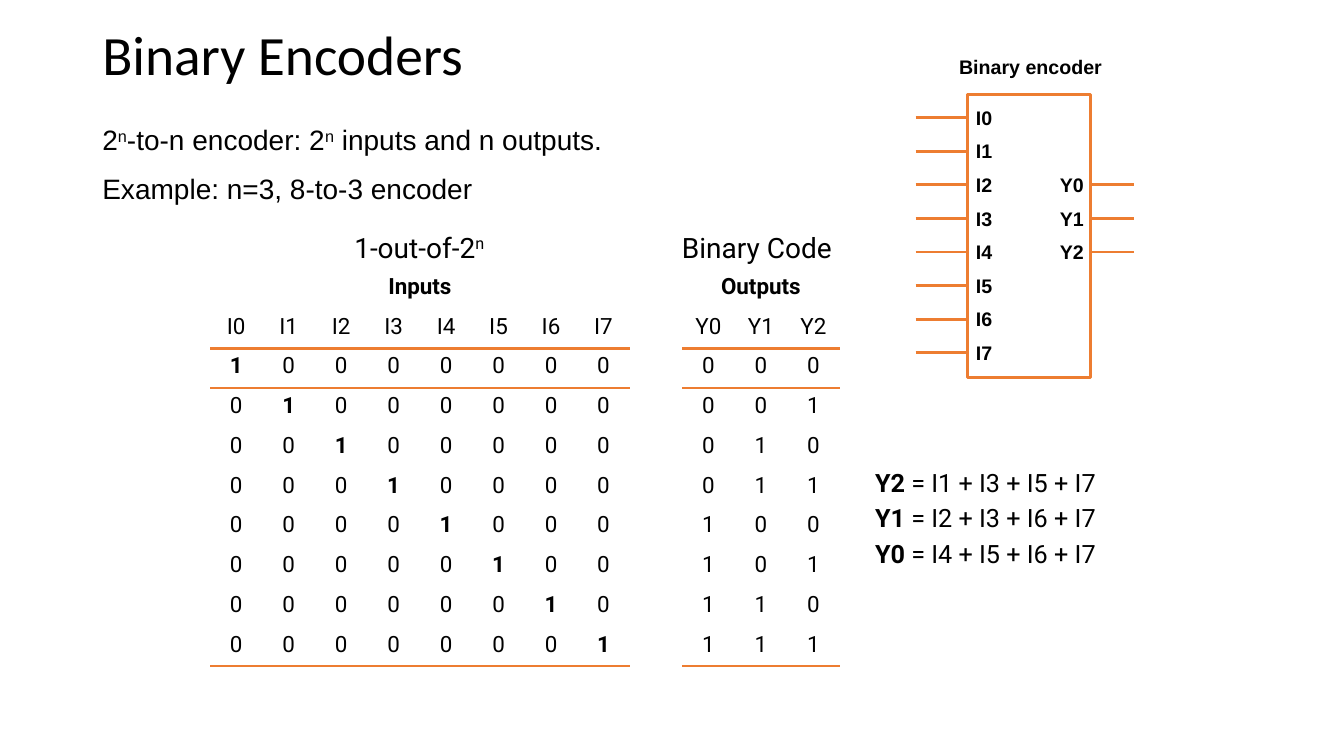
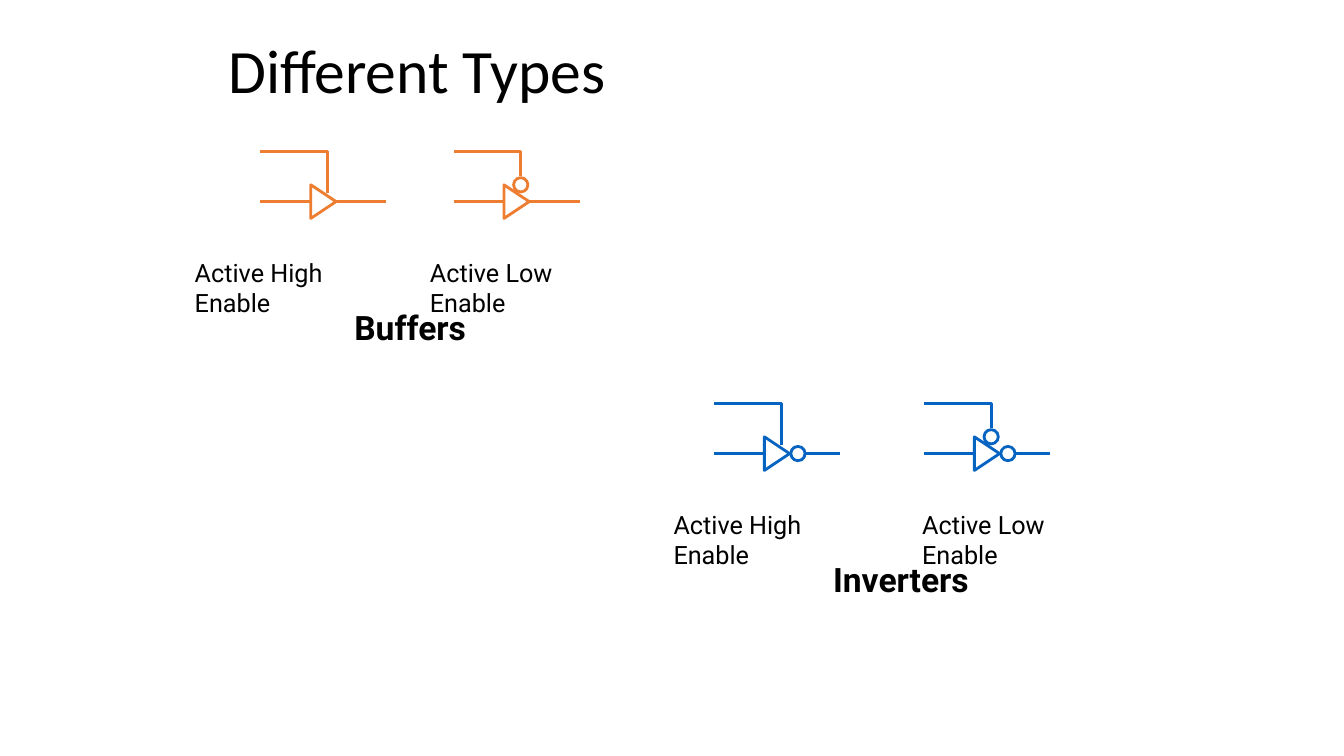
from lxml.etree import SubElement
from pptx import Presentation
from pptx.dml.color import RGBColor
from pptx.enum.shapes import MSO_CONNECTOR, MSO_SHAPE
from pptx.enum.text import MSO_ANCHOR, PP_ALIGN
from pptx.oxml.ns import qn
from pptx.util import Inches, Pt

COLORS = {"text": "000000", "orange": "ED7D31", "blue": "0563C1"}
FONTS = {"title": "Calibri", "body": "Arial", "label": "Roboto"}
COLUMNS, ROWS = 160, 90
UNIT = Inches(7.5) / ROWS
WIRE_WIDTH = 2
RULE_WIDTH = 2.25
PLAIN_TABLE = "{2D5ABB26-0587-4C30-8999-92F81FD0307C}"


def grid(*cells):
    """Turn grid columns and rows into lengths."""
    return [round(cell * UNIT) for cell in cells]


def color(name):
    """Look up a colour of the palette."""
    return RGBColor.from_string(COLORS[name])


def style(paragraph, font, size, bold=False):
    """Set the font of a whole paragraph."""
    paragraph.font.name = FONTS[font]
    paragraph.font.size = Pt(size)
    paragraph.font.bold = bold
    paragraph.font.color.rgb = color("text")


def write(shapes, box, lines, font, size, bold=False, gap=0):
    """Place text; a line is a string or a list of (text, mark) pairs."""
    frame = shapes.add_textbox(*grid(*box)).text_frame
    frame.word_wrap = True
    for index, line in enumerate(lines):
        paragraph = frame.paragraphs[0] if index == 0 else frame.add_paragraph()
        style(paragraph, font, size, bold)
        if index:
            paragraph.space_before = Pt(gap)
        for text, mark in [(line, "")] if isinstance(line, str) else line:
            run = paragraph.add_run()
            run.text = text
            if mark == "bold":
                run.font.bold = True
            elif mark == "super":
                run._r.get_or_add_rPr().set("baseline", "30000")
    return frame


def add_title(slide, box, text, size):
    """Place the slide title."""
    frame = write(slide.shapes, box, [text], "title", size)
    frame.vertical_anchor = MSO_ANCHOR.MIDDLE
    frame.paragraphs[0].line_spacing = 0.9


def outline(shape, ink):
    """Give a shape an outline only."""
    shape.shadow.inherit = False
    shape.fill.background()
    shape.line.color.rgb = color(ink)
    shape.line.width = Pt(WIRE_WIDTH)


def add_wire(shapes, start, end, ink):
    """Draw a straight wire."""
    wire = shapes.add_connector(MSO_CONNECTOR.STRAIGHT, *grid(*start, *end))
    wire.line.color.rgb = color(ink)
    wire.line.width = Pt(WIRE_WIDTH)
    SubElement(wire._element.spPr, qn("a:effectLst"))


def add_path(shapes, points, ink, close):
    """Draw a bent wire or a closed outline."""
    first, *rest = [grid(*point) for point in points]
    builder = shapes.build_freeform(*first)
    builder.add_line_segments(rest, close=close)
    outline(builder.convert_to_shape(), ink)


def add_bubble(shapes, x, y, ink):
    """Draw a negation bubble around its centre."""
    size = 1.7
    box = grid(x - size / 2, y - size / 2, size, size)
    outline(shapes.add_shape(MSO_SHAPE.OVAL, *box), ink)


def add_rule(cell, side):
    """Rule the top (lnT) or bottom (lnB) of a cell."""
    border = SubElement(cell._tc.get_or_add_tcPr(), qn(f"a:{side}"), w=str(Pt(RULE_WIDTH)))
    fill = SubElement(border, qn("a:solidFill"))
    SubElement(fill, qn("a:srgbClr"), val=COLORS["orange"])


def add_truth_table(slide, box):
    """Place the truth table of the 8-to-3 encoder."""
    inputs, outputs, gap = 8, 3, 8
    rows = [["Inputs"] + [""] * inputs + ["Outputs"] + [""] * (outputs - 1)]
    rows.append([f"I{i}" for i in range(inputs)] + [""] + [f"Y{i}" for i in range(outputs)])
    for active in range(inputs):
        one_hot = [str(int(i == active)) for i in range(inputs)]
        rows.append(one_hot + [""] + list(f"{active:03b}"))
    table = slide.shapes.add_table(len(rows), len(rows[0]), *grid(*box)).table
    table.first_row = table.horz_banding = False
    table._tbl.tblPr[0].text = PLAIN_TABLE
    for r, row in enumerate(rows):
        for c, text in enumerate(row):
            cell = table.cell(r, c)
            cell.margin_bottom = 0
            paragraph = cell.text_frame.paragraphs[0]
            paragraph.alignment = PP_ALIGN.CENTER
            style(paragraph, "label", 16, r == 0 or (c < inputs and c == r - 2))
            if text:
                paragraph.add_run().text = text
            if c != gap and r == 2:
                add_rule(cell, "lnT")
            if c != gap and r in (1, len(rows) - 1):
                add_rule(cell, "lnB")
            cell.fill.background()
    table.cell(0, 0).merge(table.cell(0, inputs - 1))
    table.cell(0, gap + 1).merge(table.cell(0, gap + outputs))


def add_encoder(slide, left, top):
    """Draw the encoder block with its pins."""
    shapes = slide.shapes.add_group_shape().shapes
    body = shapes.add_shape(MSO_SHAPE.RECTANGLE, *grid(left + 6.2, top + 5.2, 14.6, 33.7))
    outline(body, "orange")
    write(shapes, (left + 4, top, 23, 4), ["Binary encoder"], "body", 14, True)
    pins = [(f"I{i}", i, 0, 6, 6) for i in range(8)]
    pins += [(f"Y{i}", i + 2, 21, 26, 16) for i in range(3)]
    for name, step, start, end, label in pins:
        y = top + 8 + 4 * step
        add_wire(shapes, (left + start, y), (left + end, y), "orange")
        write(shapes, (left + label, y - 2, 7, 4), [name], "body", 14, True)


def add_gate(slide, left, top, label_left, active_low, inverting, ink):
    """Draw a three-state gate and its label."""
    shapes = slide.shapes.add_group_shape().shapes
    middle = top + 6
    add_path(shapes, [(left + 6, top + 4), (left + 9, middle), (left + 6, top + 8)], ink, True)
    enable_end = top + (3 if active_low else 5)
    add_path(shapes, [(left + 8, enable_end), (left + 8, top), (left, top)], ink, False)
    add_wire(shapes, (left, middle), (left + 6, middle), ink)
    add_wire(shapes, (left + (11 if inverting else 9), middle), (left + 15, middle), ink)
    if active_low:
        add_bubble(shapes, left + 8, top + 4, ink)
    if inverting:
        add_bubble(shapes, left + 10, middle, ink)
    label = f"Active {'Low' if active_low else 'High'} Enable"
    write(shapes, (label_left, top + 12, 22, 8), [label], "label", 18)


def add_gate_family(slide, name, top, gates, name_left, inverting, ink):
    """Draw the active high and active low gates above their name."""
    for active_low, (left, label_left) in enumerate(gates):
        add_gate(slide, left, top, label_left, bool(active_low), inverting, ink)
    write(slide.shapes, (name_left, top + 18, 22, 6), [name], "label", 24, True)


def build_encoders(slide):
    """Fill the slide on binary encoders."""
    add_title(slide, (11, 2.8, 138, 8), "Binary Encoders", 39.6)
    definition = [("2", ""), ("n", "super"), ("-to-n encoder: 2", ""),
                  ("n", "super"), (" inputs and n outputs.", "")]
    write(slide.shapes, (11, 14, 81, 11),
          [definition, "Example: n=3, 8-to-3 encoder"], "body", 20, gap=11)
    add_truth_table(slide, (25, 32, 75, 47.3))
    add_encoder(slide, 109, 6)
    sums = {"Y2": " = I1 + I3 + I5 + I7", "Y1": " = I2 + I3 + I6 + I7",
            "Y0": " = I4 + I5 + I6 + I7"}
    write(slide.shapes, (103, 55, 35, 13.4),
          [[(output, "bold"), (terms, "")] for output, terms in sums.items()],
          "label", 18, gap=4)
    write(slide.shapes, (80, 26.8, 21, 5.4), ["Binary Code"], "label", 20)
    write(slide.shapes, (41, 26.8, 19, 5.4),
          [[("1-out-of-2", ""), ("n", "super")]], "label", 20)


def build_gate_types(slide):
    """Fill the slide on types of three-state gates."""
    add_title(slide, (26, 3.6, 108, 10.3), "Different Types", 44)
    add_gate_family(slide, "Buffers", 18, [(31, 22), (54, 50)], 41, False, "orange")
    add_gate_family(slide, "Inverters", 48, [(85, 79), (110, 108.6)], 98, True, "blue")


def main():
    """Build and save the presentation."""
    deck = Presentation()
    deck.slide_width, deck.slide_height = grid(COLUMNS, ROWS)
    for build in (build_encoders, build_gate_types):
        build(deck.slides.add_slide(deck.slide_layouts[6]))
    deck.save("out.pptx")


if __name__ == "__main__":
    main()
